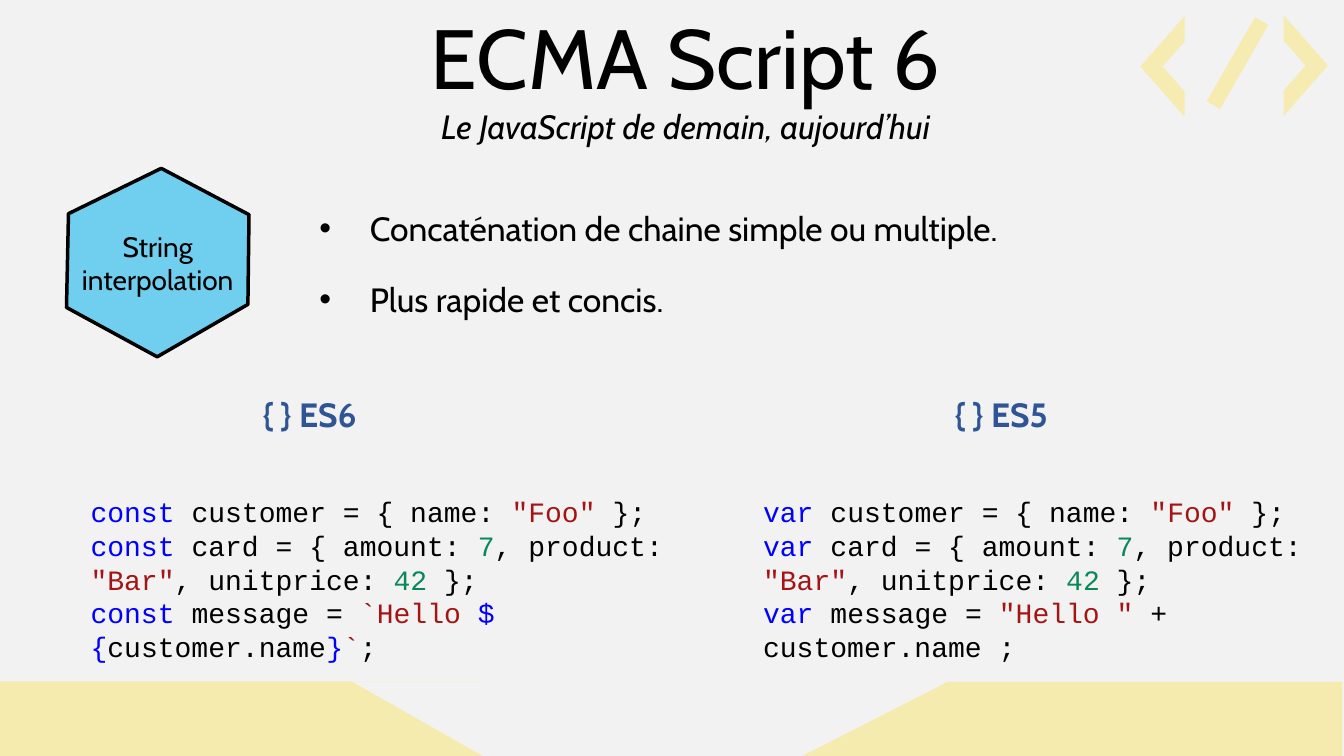
from dataclasses import dataclass
from typing import Any

from lxml import etree
from pptx import Presentation
from pptx import util as u
from pptx.dml import color
from pptx.enum import shapes, text
from pptx.oxml import ns

WIDE, HIGH = u.Inches(13.33), u.Inches(7.5)
COL, ROW = WIDE / 100, HIGH / 100
HEX = {
    "page": "F2F2F2", "ink": "000000", "head": "2F5597", "sky": "70CEEF",
    "gold": "FBDE34", "pale": "F6EBB0",
    "key": "0000FF", "str": "A31515", "num": "09885A",
}
SANS, MONO = "Cabin", "Courier New"
MID, LEFT = text.PP_ALIGN.CENTER, text.PP_ALIGN.LEFT
KIND = shapes.MSO_SHAPE


@dataclass
class Box:
    x: float
    y: float
    w: float
    h: float

    def emu(self) -> list[int]:
        return [round(self.x * COL), round(self.y * ROW),
                round(self.w * COL), round(self.h * ROW)]


@dataclass
class Run:
    text: str
    hue: str = "ink"
    size: int = 24
    face: str = SANS
    bold: bool = False
    slant: bool = False


@dataclass
class Block:
    box: Box
    lines: list[list[Run]]
    align: Any = LEFT
    dot: bool = False


@dataclass
class Part:
    kind: Any
    box: Box
    hue: str
    turn: float = 0
    flip: str = ""
    alpha: int = 100


def rgb(hue: str) -> color.RGBColor:
    return color.RGBColor.from_string(HEX[hue])


def apply(item: Any, vals: dict[str, Any]) -> None:
    for name, val in vals.items():
        setattr(item, name, val)


def paint(shape: Any, hue: str) -> None:
    shape.shadow.inherit = False
    shape.fill.solid()
    shape.fill.fore_color.rgb = rgb(hue)


def bullet(para: Any) -> None:
    props = para._p.get_or_add_pPr()
    props.set("marL", str(u.Inches(0.5)))
    props.set("indent", str(-u.Inches(0.5)))
    etree.SubElement(props, ns.qn("a:buFont")).set("typeface", "Arial")
    etree.SubElement(props, ns.qn("a:buChar")).set("char", "•")


def write(frame: Any, lines: list[list[Run]], align: Any, dot: bool = False) -> None:
    for num, line in enumerate(lines):
        para = frame.add_paragraph() if num else frame.paragraphs[0]
        para.alignment = align
        if dot:
            bullet(para)
        for part in line:
            run = para.add_run()
            run.text = part.text
            apply(run.font, {"name": part.face, "size": u.Pt(part.size),
                             "bold": part.bold, "italic": part.slant})
            run.font.color.rgb = rgb(part.hue)


def fill_box(shape: Any, block: Block) -> None:
    apply(shape, dict(zip(("left", "top", "width", "height"), block.box.emu())))
    apply(shape.text_frame, {"word_wrap": True,
                             "auto_size": text.MSO_AUTO_SIZE.SHAPE_TO_FIT_TEXT,
                             "vertical_anchor": text.MSO_ANCHOR.TOP})
    write(shape.text_frame, block.lines, block.align, block.dot)


def draw_part(slide: Any, part: Part) -> None:
    shape = slide.shapes.add_shape(part.kind, *part.box.emu())
    paint(shape, part.hue)
    shape.line.fill.background()
    shape.rotation = part.turn
    if part.flip:
        shape._element.spPr.xfrm.set(part.flip, "1")
    if part.alpha < 100:
        tint = shape._element.spPr.find(".//" + ns.qn("a:srgbClr"))
        etree.SubElement(tint, ns.qn("a:alpha")).set("val", str(part.alpha * 1000))


def draw_badge(slide: Any) -> None:
    spots = [(4.95, 40.67), (5.1, 28.27), (12, 22.27),
             (18.53, 28.4), (18.45, 40.27), (11.7, 47.2)]
    dots = [(round(x * COL), round(y * ROW)) for x, y in spots]
    path = slide.shapes.build_freeform(*dots[0])
    path.add_line_segments(dots[1:], close=True)
    badge = path.convert_to_shape()
    paint(badge, "sky")
    badge.line.color.rgb = rgb("ink")
    badge.line.width = u.Pt(2.5)
    apply(badge.text_frame, {"word_wrap": True,
                             "vertical_anchor": text.MSO_ANCHOR.MIDDLE})
    write(badge.text_frame, [[Run("String interpolation", size=20)]], MID)


def code(word: str, tail: list[tuple[str, str]]) -> list[list[Run]]:
    rows = [
        [(" customer = { name: ", "ink"), ('"Foo"', "str"), (" };", "ink")],
        [(" card = { amount: ", "ink"), ("7", "num"), (", product: ", "ink"),
         ('"Bar"', "str"), (", unitprice: ", "ink"), ("42", "num"), (" };", "ink")],
        [(" message = ", "ink"), *tail],
    ]
    return [[Run(bit, hue, 20, MONO) for bit, hue in [(word, "key"), *row]]
            for row in rows]


NEW = code("const", [("`Hello ", "str"), ("${", "key"), ("customer.name", "ink"),
                     ("}", "key"), ("`", "str"), (";", "ink")])
OLD = code("var", [('"Hello "', "str"), (" + customer.name ;", "ink")])

TITLE = Block(Box(15.15, 0, 71.72, 20.13),
              [[Run("ECMA Script 6", size=60)],
               [Run("Le JavaScript de demain, aujourd’hui", slant=True)]], MID)
POINTS = ["Concaténation de chaine simple ou multiple.", "Plus rapide et concis."]
HEADS = {"{ } ES6": 5.55, "{ } ES5": 57.01}
BLOCKS = [
    *[Block(Box(23.03, 26.8 + 9.47 * num, 71.72, 6.67), [[Run(point)]], dot=True)
      for num, point in enumerate(POINTS)],
    *[Block(Box(x, 51.47, 34.96, 6.67), [[Run(name, "head", bold=True)]], MID)
      for name, x in HEADS.items()],
    Block(Box(6, 64.8, 50.04, 28.27), NEW),
    Block(Box(56.04, 64.8, 43.81, 32.8), OLD),
]
BANDS = [
    Part(KIND.RECTANGLE, Box(77.04, 59.47, 5.55, 71.33), "gold", 90, "flipH", 35),
    Part(KIND.RIGHT_TRIANGLE, Box(62.42, 85.33, 5.55, 19.33), "page", 90),
    Part(KIND.RECTANGLE, Box(15.15, 63.07, 5.55, 64), "gold", 270, "", 35),
    Part(KIND.RIGHT_TRIANGLE, Box(28.28, 86.4, 5.55, 17.33), "page", 270, "flipH"),
]
MARK = [
    *[Part(KIND.DIAGONAL_STRIPE, Box(x, y, 3.3, 6.67), "pale", turn, flip)
      for x, y, turn, flip in [(95.5, 8.67, 0, ""), (95.5, 2, 0, "flipV"),
                               (84.85, 2.13, 180, ""), (84.85, 8.8, 180, "flipV")]],
    Part(KIND.MATH_MINUS, Box(87.17, 4, 9.83, 8.67), "pale", 299.9),
]


def main() -> None:
    deck = Presentation()
    apply(deck, {"slide_width": WIDE, "slide_height": HIGH})
    slide = deck.slides.add_slide(deck.slide_layouts[5])
    slide.background.fill.solid()
    slide.background.fill.fore_color.rgb = rgb("page")
    fill_box(slide.shapes.title, TITLE)
    for block in BLOCKS:
        fill_box(slide.shapes.add_textbox(*block.box.emu()), block)
    draw_badge(slide)
    for part in BANDS + MARK:
        draw_part(slide, part)
    deck.save("out.pptx")


if __name__ == "__main__":
    main()
